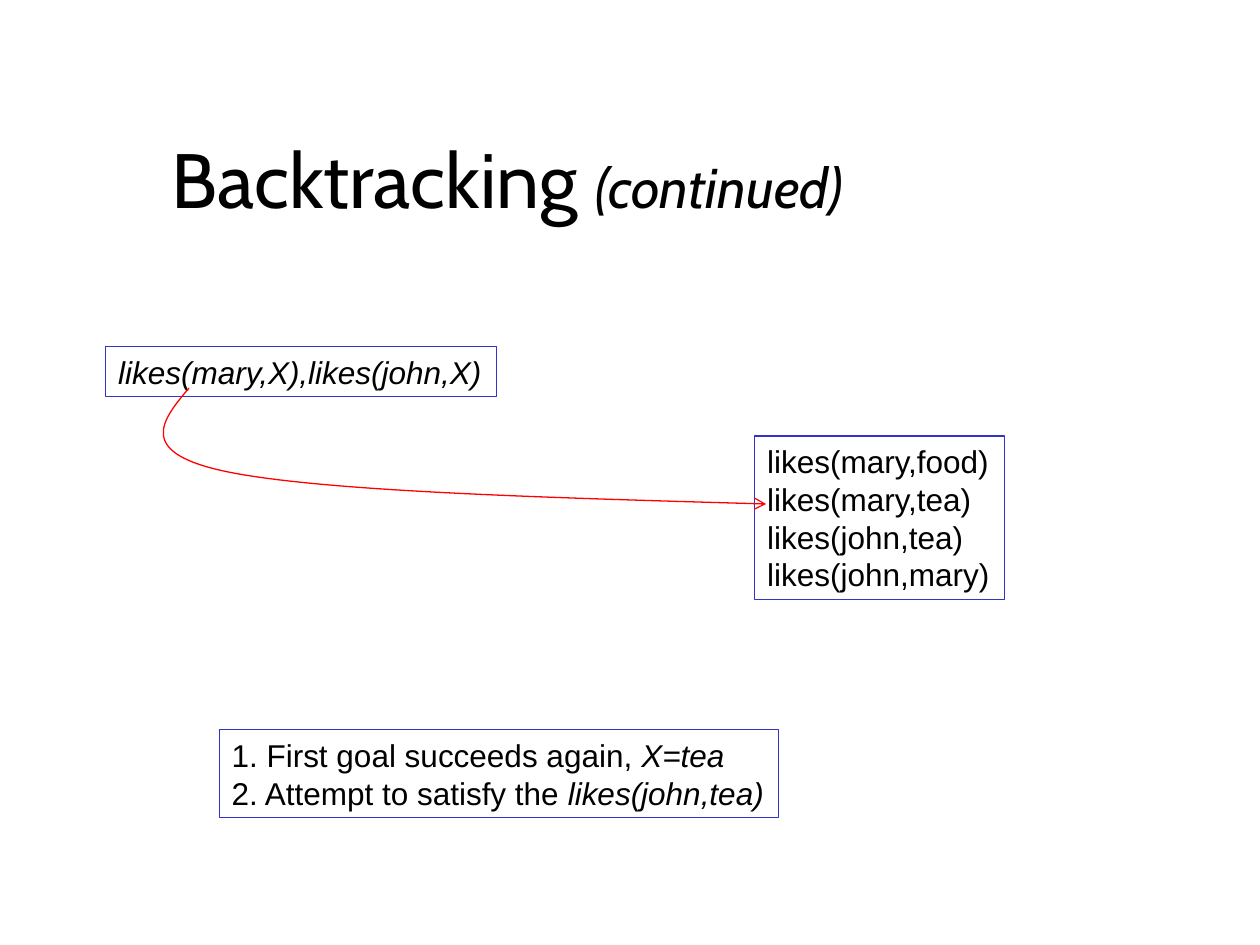
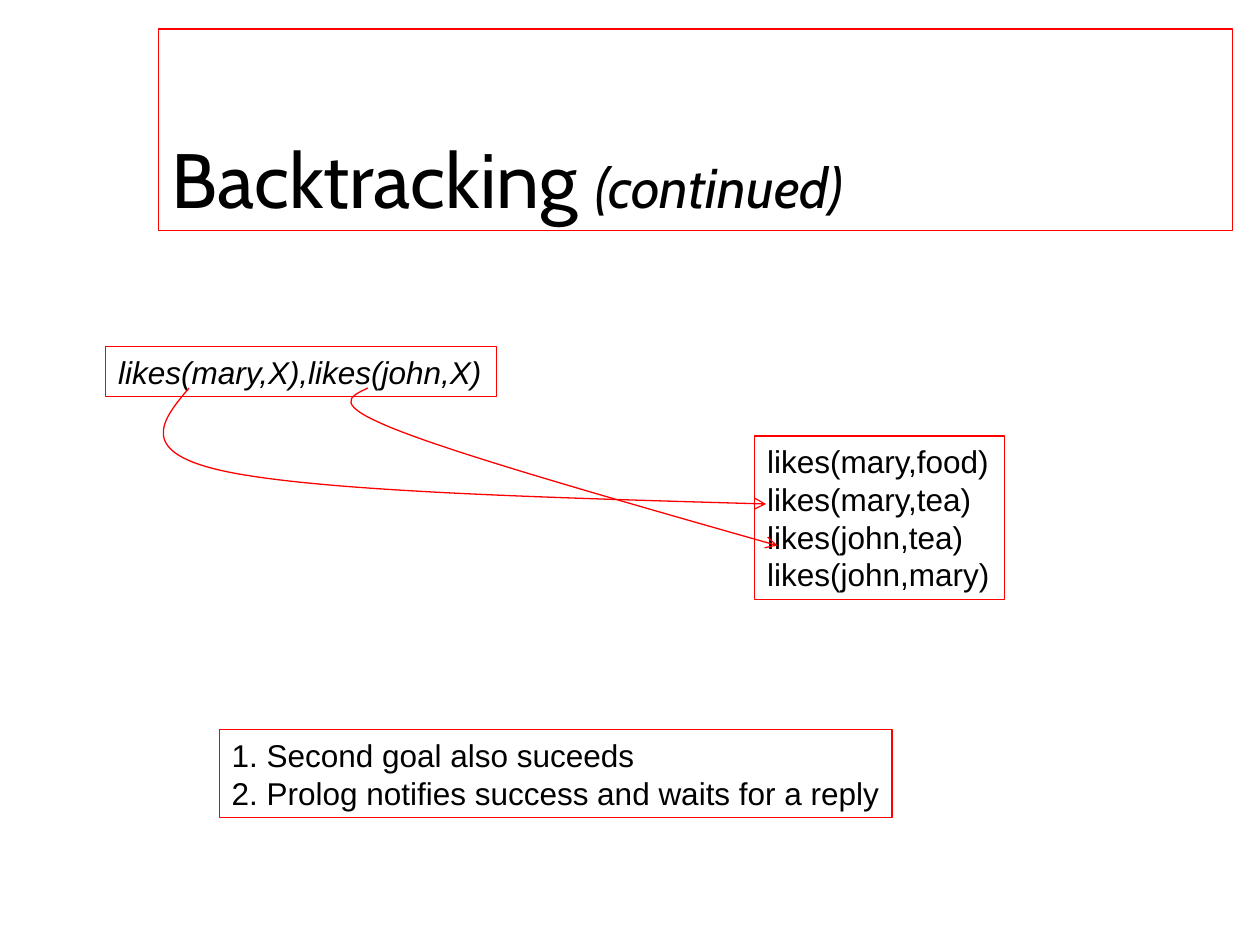
from lxml import etree
from pptx import Presentation
from pptx.dml.color import RGBColor
from pptx.enum.text import MSO_ANCHOR, MSO_AUTO_SIZE
from pptx.oxml.ns import qn
from pptx.util import Inches, Pt

BOTTOM, TOP = MSO_ANCHOR.BOTTOM, MSO_ANCHOR.TOP
FIT_SHAPE, NO_FIT = MSO_AUTO_SIZE.SHAPE_TO_FIT_TEXT, MSO_AUTO_SIZE.NONE

COLORS = {"text": "000000", "blue": "3333CC", "red": "FF0000", "paper": "FFFFFF"}
LINE_WIDTH = 0.74

# Each line of text is a list of (words, format) runs.
BODY = {"name": "Arial", "size": Pt(18), "italic": False}
BODY_ITALIC = {**BODY, "italic": True}
TITLE = {"name": "Cabin", "size": Pt(44)}
SUBTITLE = {"name": "Cabin", "size": Pt(32), "italic": True}

TITLE_LINES = [[("Backtracking ", TITLE), ("(continued)", SUBTITLE)]]
QUERY_LINES = [[("likes(mary,X),likes(john,X)", BODY_ITALIC)]]
FACT_LINES = [[(f"likes({fact})", BODY)]
              for fact in ("mary,food", "mary,tea", "john,tea", "john,mary")]

# Start point, then three points (two controls and an end) per Bezier segment.
FIRST_GOAL_CURVE = [(1.5, 3.08), (1.28, 3.34), (1.07, 3.6), (1.83, 3.75),
                    (2.6, 3.9), (4.34, 3.95), (6.08, 4)]
SECOND_GOAL_CURVE = [(2.92, 3.08), (2.77, 3.15), (2.63, 3.21), (3.17, 3.42),
                     (3.71, 3.63), (4.94, 3.98), (6.17, 4.33)]

STEPS = [
    {"border": "blue", "title_border": None, "steps_width": 4.44,
     "steps": [[("1. First goal succeeds again, ", BODY), ("X=tea", BODY_ITALIC)],
               [("2. Attempt to satisfy the ", BODY),
                ("likes(john,tea)", BODY_ITALIC)]],
     "curves": [FIRST_GOAL_CURVE]},
    {"border": "red", "title_border": "red", "steps_width": 5.34,
     "steps": [[("1. Second goal also suceeds", BODY)],
               [("2. Prolog notifies success and waits for a reply", BODY)]],
     "curves": [FIRST_GOAL_CURVE, SECOND_GOAL_CURVE]},
]


def rgb(color):
    """Return the named colour."""
    return RGBColor.from_string(COLORS[color])


def set_line(shape, color):
    """Give a shape a thin line in the named colour."""
    shape.line.color.rgb = rgb(color)
    shape.line.width = Pt(LINE_WIDTH)


def add_text(slide, place, lines, border=None, **frame_format):
    """Add left-aligned lines of runs, framed if a border colour is given."""
    box = slide.shapes.add_textbox(*map(Inches, place))
    if border:
        set_line(box, border)
    frame = box.text_frame
    settings = {"word_wrap": False, "auto_size": FIT_SHAPE,
                "vertical_anchor": TOP, **frame_format}
    for name, value in settings.items():
        setattr(frame, name, value)
    for index, line in enumerate(lines):
        paragraph = frame.add_paragraph() if index else frame.paragraphs[0]
        for words, font_format in line:
            run = paragraph.add_run()
            run.text = words
            run.font.color.rgb = rgb("text")
            for name, value in font_format.items():
                setattr(run.font, name, value)


def add_curved_arrow(slide, points):
    """Add a red Bezier curve with an open arrowhead at its end."""
    start, *others = [(Inches(x), Inches(y)) for x, y in points]
    builder = slide.shapes.build_freeform(*start)
    builder.add_line_segments(others, close=False)
    arrow = builder.convert_to_shape()
    arrow.shadow.inherit = False
    arrow.fill.background()
    set_line(arrow, "red")
    outline = arrow.element.spPr.find(".//" + qn("a:path"))
    segments = outline.findall(qn("a:lnTo"))
    for first in range(0, len(segments), 3):
        curve = etree.SubElement(outline, qn("a:cubicBezTo"))
        for segment in segments[first:first + 3]:
            curve.append(segment[0])
            outline.remove(segment)
    line = arrow.element.spPr.find(qn("a:ln"))
    etree.SubElement(line, qn("a:tailEnd"), type="arrow")


def add_step_slide(deck, step):
    """Add one stage of the backtracking search."""
    slide = deck.slides.add_slide(deck.slide_layouts[6])
    slide.background.fill.solid()
    slide.background.fill.fore_color.rgb = rgb("paper")
    border = step["border"]
    add_text(slide, (1.26, 0.23, 8.52, 1.6), TITLE_LINES, step["title_border"],
             word_wrap=True, auto_size=NO_FIT, vertical_anchor=BOTTOM)
    add_text(slide, (0.84, 2.75, 3.1, 0.4), QUERY_LINES, border)
    add_text(slide, (5.99, 3.46, 1.98, 1.3), FACT_LINES, border)
    add_text(slide, (1.74, 5.79, step["steps_width"], 0.7), step["steps"], border)
    for points in step["curves"]:
        add_curved_arrow(slide, points)


def main():
    """Build and save the slides."""
    deck = Presentation()
    deck.slide_width, deck.slide_height = Inches(10), Inches(7.5)
    for step in STEPS:
        add_step_slide(deck, step)
    deck.save("out.pptx")


main()
